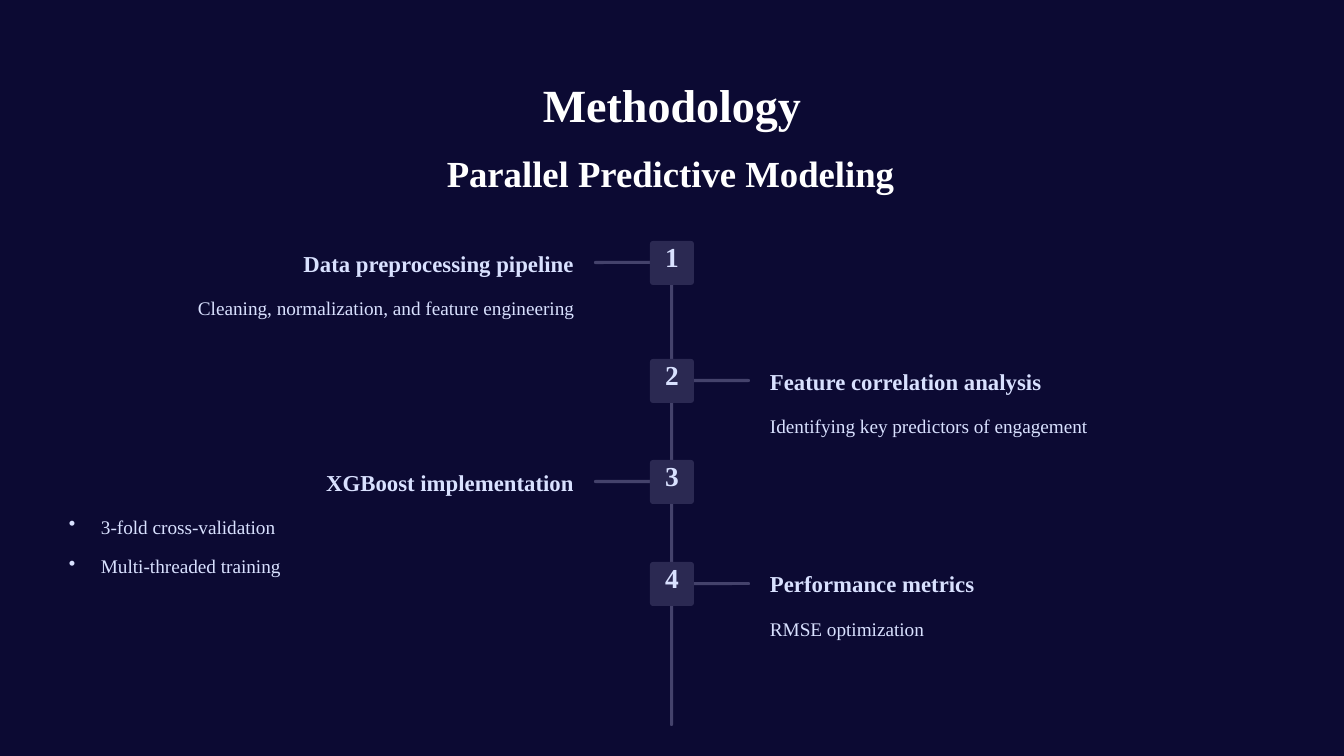
from lxml import etree
from pptx import Presentation
from pptx.dml.color import RGBColor
from pptx.enum.shapes import MSO_SHAPE
from pptx.enum.text import MSO_ANCHOR, MSO_AUTO_SIZE, PP_ALIGN
from pptx.oxml.ns import qn
from pptx.util import Emu, Pt

ROUNDED = MSO_SHAPE.ROUNDED_RECTANGLE
TOP = MSO_ANCHOR.TOP
NO_FIT = MSO_AUTO_SIZE.NONE
LEFT, CENTER, RIGHT = PP_ALIGN.LEFT, PP_ALIGN.CENTER, PP_ALIGN.RIGHT

NAVY = RGBColor(0x0C, 0x0A, 0x33)
BADGE_FILL = RGBColor(0x2B, 0x29, 0x52)
LINE_FILL = RGBColor(0x44, 0x42, 0x6B)
WHITE = RGBColor(0xFF, 0xFF, 0xFF)
PALE_BLUE = RGBColor(0xD9, 0xE1, 0xFF)

BADGE_SIZE = 44
BULLET_INDENT = 32


def px(length):
    return Emu(round(length * 914400 / 84))


class TimelineSlide:
    font_name = "Times New Roman"

    def __init__(self, deck):
        self.page = deck.slides.add_slide(deck.slide_layouts[5])
        background = self.page.background.fill
        background.solid()
        background.fore_color.rgb = NAVY

    def bar(self, left, top, width, height, color, rounding=0.5):
        shape = self.page.shapes.add_shape(
            ROUNDED, px(left), px(top), px(width), px(height))
        shape.adjustments[0] = rounding
        shape.shadow.inherit = False
        shape.fill.solid()
        shape.fill.fore_color.rgb = color
        shape.line.fill.background()

    def title(self, place, text, **style):
        box = self.page.shapes.title
        box.left, box.top, box.width, box.height = map(px, place)
        self.fill_text(box, [text], **style)

    def text(self, place, lines, **style):
        box = self.page.shapes.add_textbox(*map(px, place))
        self.fill_text(box, lines, **style)

    def fill_text(self, box, lines, size, leading, align=LEFT,
                  color=PALE_BLUE, bold=False, bulleted=False):
        frame = box.text_frame
        frame.margin_left = frame.margin_right = 0
        frame.margin_top = frame.margin_bottom = 0
        frame.word_wrap = True
        frame.auto_size = NO_FIT
        frame.vertical_anchor = TOP
        for index, line in enumerate(lines):
            para = frame.paragraphs[0] if index == 0 else frame.add_paragraph()
            para.text = line
            para.alignment = align
            para.line_spacing = Pt(leading)
            para.space_before = Pt(7 if index else 0)
            if bulleted:
                self.bullet(para)
            para.font.name = self.font_name
            para.font.size = Pt(size)
            para.font.bold = bold
            para.font.color.rgb = color

    def bullet(self, para):
        properties = para._p.get_or_add_pPr()
        properties.set("marL", str(px(BULLET_INDENT)))
        properties.set("indent", str(-px(BULLET_INDENT)))
        etree.SubElement(properties, qn("a:buChar")).set("char", "•")

    def step(self, number, top, heading, details):
        on_left = number % 2 == 1
        text_left = 69 if on_left else 770
        align = RIGHT if on_left else LEFT
        bulleted = len(details) > 1

        # Connector and numbered badge
        self.bar(594 if on_left else 691, top + 20, 59, 3, LINE_FILL)
        self.bar(650, top, BADGE_SIZE, BADGE_SIZE, BADGE_FILL, 0.07)
        self.text((658, top + 5, 28, 34), [str(number)], size=23.5,
                  leading=23.5, align=CENTER, bold=True)

        # Heading and details
        self.text((text_left, top + 7, 505, 29), [heading], size=19.5,
                  leading=24.5, align=align, bold=True)
        self.text((text_left, top + 47, 505, 31 + 39 * (len(details) - 1)),
                  details, size=16.5, leading=26.5,
                  align=LEFT if bulleted else align, bulleted=bulleted)


STEPS = [
    (241, "Data preprocessing pipeline",
     ["Cleaning, normalization, and feature engineering"]),
    (359, "Feature correlation analysis",
     ["Identifying key predictors of engagement"]),
    (460, "XGBoost implementation",
     ["3-fold cross-validation", "Multi-threaded training"]),
    (562, "Performance metrics", ["RMSE optimization"]),
]


def main():
    deck = Presentation()
    deck.slide_width, deck.slide_height = px(1344), px(756)
    slide = TimelineSlide(deck)

    # Title and subtitle
    slide.title((441, 74, 462, 58), "Methodology", size=39.5, leading=49.5,
                align=CENTER, color=WHITE, bold=True)
    slide.text((388, 149, 565, 46), ["Parallel Predictive Modeling"],
               size=31.5, leading=39.5, align=CENTER, color=WHITE, bold=True)

    # Timeline
    slide.bar(670, 241, 3, 485, LINE_FILL)
    for number, (top, heading, details) in enumerate(STEPS, start=1):
        slide.step(number, top, heading, details)

    deck.save("out.pptx")


if __name__ == "__main__":
    main()
